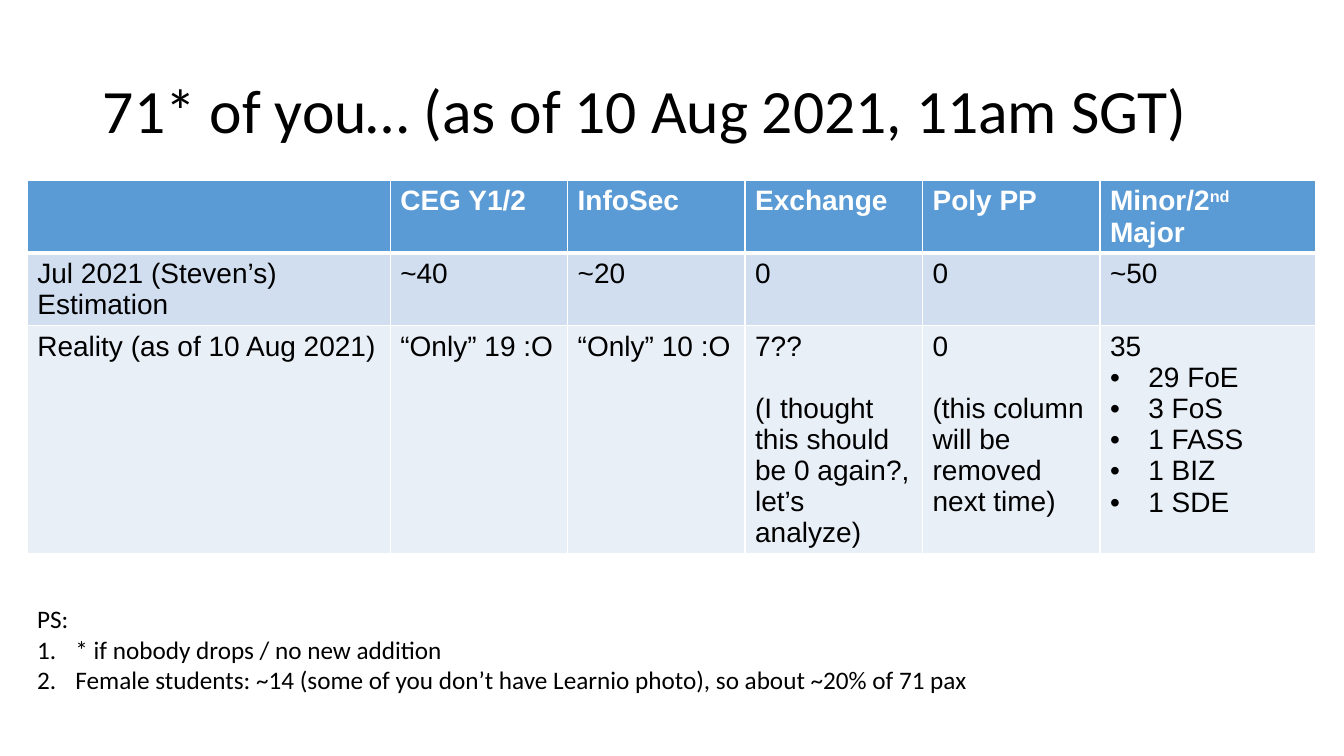
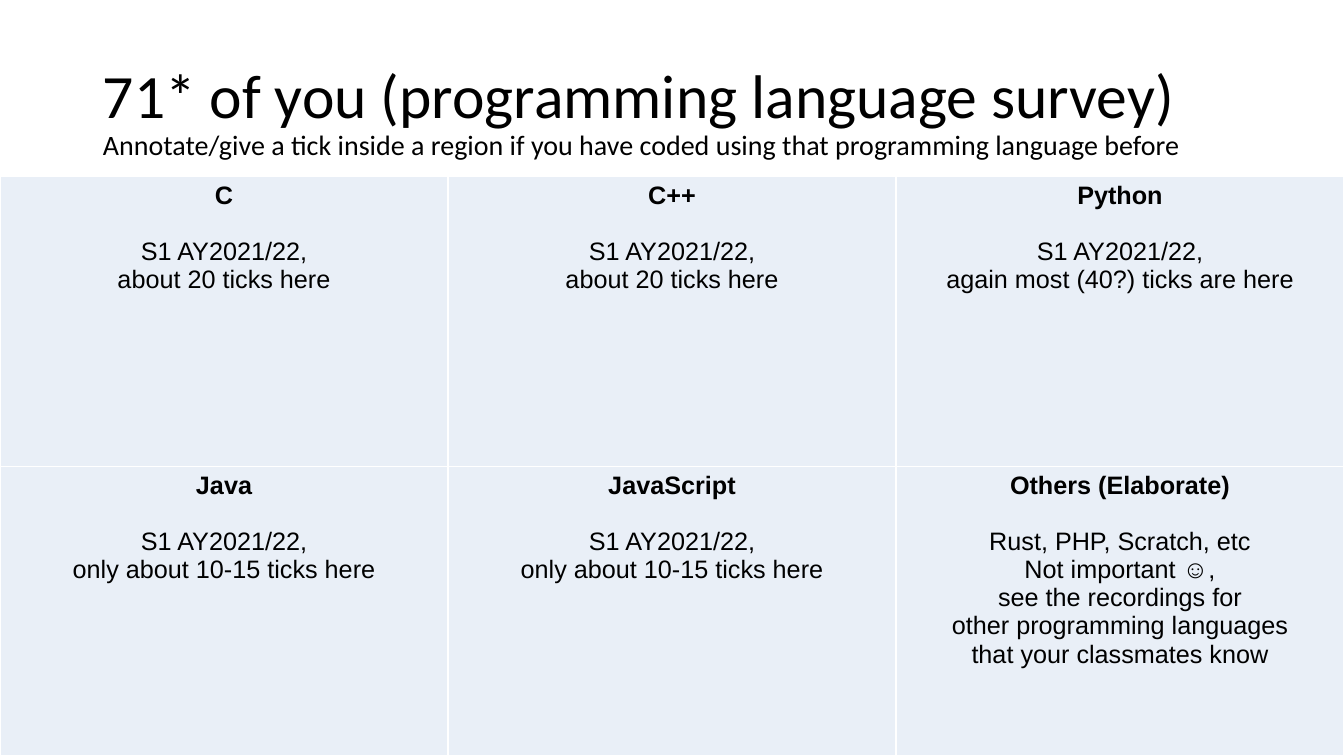
from lxml.etree import SubElement
from pptx import Presentation
from pptx.dml.color import RGBColor
from pptx.enum.text import MSO_ANCHOR, MSO_AUTO_SIZE, PP_ALIGN
from pptx.oxml.ns import qn
from pptx.util import Inches, Pt

BLACK, WHITE = "000000", "FFFFFF"
HEADER_BLUE, BAND_DARK, BAND_LIGHT = "5B9BD5", "D0DEEF", "E9EFF7"
TITLE_FONT, TABLE_FONT = "Calibri", "Arial"
INDENT = Inches(0.38)


def format_para(para, font_name, size, color=BLACK, bold=False, bullet=None):
    """Format all runs; bullet is a character, or "1." for automatic numbers."""
    for span in para.runs:
        span.font.name = font_name
        span.font.size = Pt(size)
        span.font.bold = bold
        span.font.color.rgb = RGBColor.from_string(color)
    if bullet:
        properties = para._p.get_or_add_pPr()
        properties.set("marL", str(INDENT))
        properties.set("indent", str(-INDENT))
        if bullet == "1.":
            SubElement(properties, qn("a:buAutoNum"), type="arabicPeriod")
        else:
            SubElement(properties, qn("a:buFont"), typeface=TABLE_FONT)
            SubElement(properties, qn("a:buChar"), char=bullet)


def paint_cell(cell, fill, bottom_width=1):
    """Give the cell white borders and a solid fill."""
    properties = cell._tc.get_or_add_tcPr()
    for side in ("lnL", "lnR", "lnT", "lnB"):
        width = bottom_width if side == "lnB" else 1
        line = SubElement(properties, qn("a:" + side), w=str(Pt(width)))
        SubElement(SubElement(line, qn("a:solidFill")), qn("a:srgbClr"), val=WHITE)
    cell.fill.solid()
    cell.fill.fore_color.rgb = RGBColor.from_string(fill)


deck = Presentation()
deck.slide_width, deck.slide_height = Inches(13.33), Inches(7.5)

# Both pages share the title style
titles = [
    "71* of you… (as of 10 Aug 2021, 11am SGT)",
    "71* of you (programming language survey)\v"
    "Annotate/give a tick inside a region if you have coded using that "
    "programming language before",
]
pages = []
for title_text in titles:
    page = deck.slides.add_slide(deck.slide_layouts[5])
    title = page.shapes.title
    title.left, title.top = Inches(0.92), Inches(0.4)
    title.width, title.height = Inches(11.5), Inches(1.45)
    frame = title.text_frame
    frame.text = title_text
    frame.auto_size = MSO_AUTO_SIZE.NONE
    frame.vertical_anchor = MSO_ANCHOR.MIDDLE
    para = frame.paragraphs[0]
    para.alignment = PP_ALIGN.LEFT
    para.line_spacing = 0.9
    format_para(para, TITLE_FONT, 44)
    for subtitle in para.runs[1:]:
        subtitle.font.size = Pt(20)
    pages.append(page)
enrolment_page, survey_page = pages

# Enrolment table: a list holds the paragraphs of one cell
enrolment = [
    ["", "CEG Y1/2", "InfoSec", "Exchange", "Poly PP", "Minor/2"],
    ["Jul 2021 (Steven’s) Estimation", "~40", "~20", "0", "0", "~50"],
    ["Reality (as of 10 Aug 2021)", "“Only” 19 :O", "“Only” 10 :O",
     ["7??", "(I thought this should be 0 again?,\vlet’s analyze)"],
     ["0", "(this column will be removed next time)"],
     ["35", "29 FoE", "3 FoS", "1 FASS", "1 BIZ", "1 SDE"]],
]
row_fills = [HEADER_BLUE, BAND_DARK, BAND_LIGHT]
row_heights = [0.72, 0.72, 2.26]
column_widths = [3.6, 1.76, 1.76, 1.76, 1.76, 2.14]
LIST_COLUMN = 5

table = enrolment_page.shapes.add_table(
    3, 6, Inches(0.27), Inches(1.79), Inches(12.78), Inches(3.7)).table
for column, width in zip(table.columns, column_widths):
    column.width = Inches(width)
for row_index, entries in enumerate(enrolment):
    is_header = row_index == 0
    table.rows[row_index].height = Inches(row_heights[row_index])
    for column_index, entry in enumerate(entries):
        cell = table.cell(row_index, column_index)
        paint_cell(cell, row_fills[row_index], 3 if is_header else 1)
        lines = entry if isinstance(entry, list) else [entry]
        cell.text_frame.text = "\n".join(lines)
        is_list = column_index == LIST_COLUMN
        for number, para in enumerate(cell.text_frame.paragraphs):
            format_para(para, TABLE_FONT, 20, WHITE if is_header else BLACK,
                        is_header, "•" if is_list and number else None)
        if len(lines) > 1 and not is_list:
            cell.text_frame.paragraphs[0].space_after = Pt(22)

minor_heading = table.cell(0, LIST_COLUMN).text_frame.paragraphs[0]
for extra in ("nd", " Major"):
    minor_heading.add_run().text = extra
format_para(minor_heading, TABLE_FONT, 20, WHITE, True)
minor_heading.runs[1]._r.get_or_add_rPr().set("baseline", "30000")

# Remarks below the table
remarks = enrolment_page.shapes.add_textbox(
    Inches(0.27), Inches(5.94), Inches(12.78), Inches(1.01)).text_frame
remarks.word_wrap = True
remarks.text = "\n".join([
    "PS:",
    "* if nobody drops / no new addition",
    "Female students: ~14 (some of you don’t have Learnio photo), "
    "so about ~20% of 71 pax",
])
for number, para in enumerate(remarks.paragraphs):
    format_para(para, TITLE_FONT, 18, bullet="1." if number else None)

# Survey grid: a heading and its answer in each region
survey = [
    [("C", "S1 AY2021/22,\vabout 20 ticks here"),
     ("C++", "S1 AY2021/22,\vabout 20 ticks here"),
     ("Python", "S1 AY2021/22,\vagain most (40?) ticks are here")],
    [("Java", "S1 AY2021/22,\vonly about 10-15 ticks here"),
     ("JavaScript", "S1 AY2021/22,\vonly about 10-15 ticks here"),
     ("Others (Elaborate)",
      "Rust, PHP, Scratch, etc\nNot important ☺,\vsee the recordings for\v"
      "other programming languages\vthat your classmates know")],
]
grid = survey_page.shapes.add_table(
    2, 3, 0, Inches(1.75), deck.slide_width, Inches(5.75)).table
grid.first_row = False
for row_index, regions in enumerate(survey):
    for column_index, (language, answer) in enumerate(regions):
        cell = grid.cell(row_index, column_index)
        paint_cell(cell, BAND_LIGHT)
        cell.text_frame.text = language + "\n" + answer
        for number, para in enumerate(cell.text_frame.paragraphs):
            para.alignment = PP_ALIGN.CENTER
            format_para(para, TABLE_FONT, 18, bold=number == 0)
        cell.text_frame.paragraphs[0].space_after = Pt(20)

deck.save("out.pptx")
